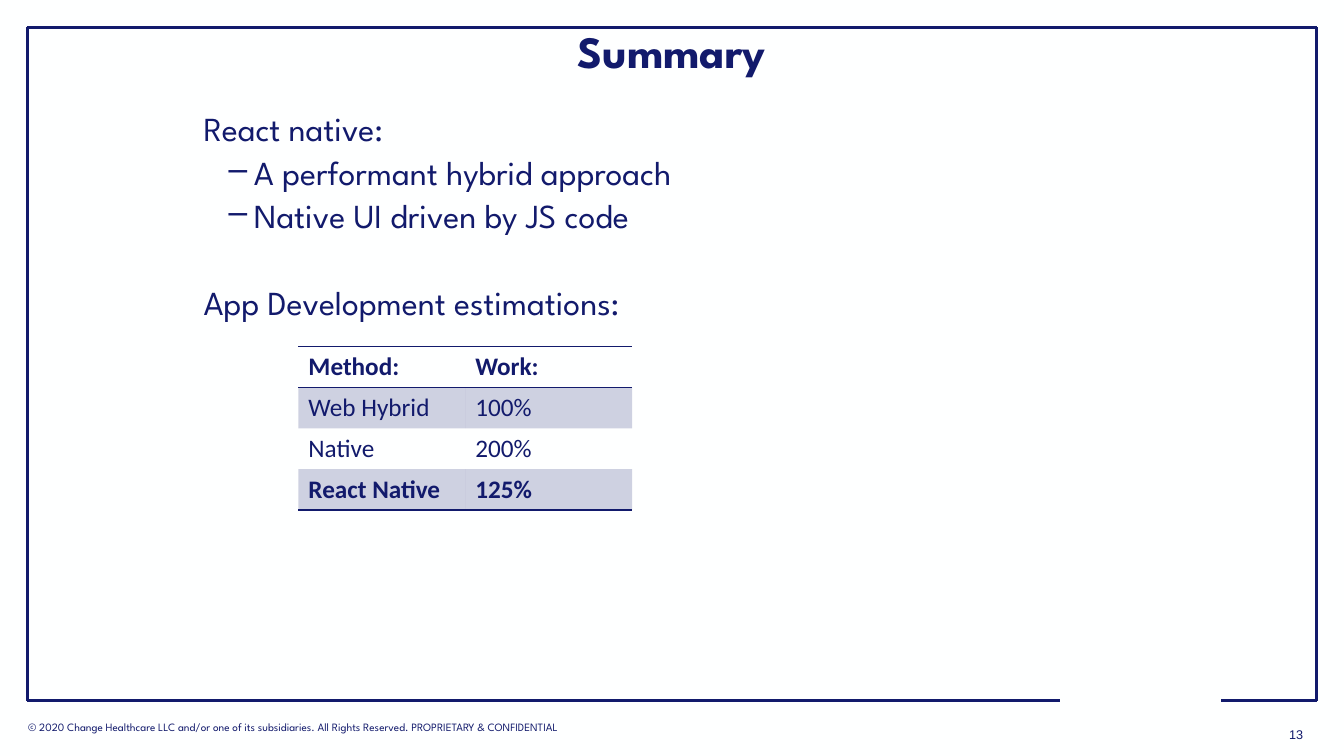
from lxml import etree
from pptx import Presentation
from pptx.dml.color import RGBColor
from pptx.enum.shapes import MSO_CONNECTOR
from pptx.enum.text import MSO_ANCHOR, PP_ALIGN
from pptx.oxml import parse_xml
from pptx.oxml.ns import nsdecls, qn
from pptx.util import Inches, Pt

STRAIGHT = MSO_CONNECTOR.STRAIGHT
TOP, MIDDLE = MSO_ANCHOR.TOP, MSO_ANCHOR.MIDDLE
LEFT, CENTER = PP_ALIGN.LEFT, PP_ALIGN.CENTER
COLORS = {"navy": "121A6C", "paper": "FEFFFF"}
NO_STYLE = "{2D5ABB26-0587-4C30-8999-92F81FD0307C}"
BRAND, TABLE_FONT, NUMBER_FONT = "League Spartan", "Calibri", "Arial"


class Deck:
    def __init__(self):
        self.prs = Presentation()
        self.prs.slide_width, self.prs.slide_height = Inches(13.33), Inches(7.5)
        self.s = self.prs.slides.add_slide(self.prs.slide_layouts[6])
        fill = self.s.background.fill
        fill.solid()
        fill.fore_color.rgb = RGBColor.from_string(COLORS["paper"])

    def x(self, percent):
        return round(self.prs.slide_width * percent / 100)

    def y(self, percent):
        return round(self.prs.slide_height * percent / 100)

    def box(self, left, top, width, height):
        return self.x(left), self.y(top), self.x(width), self.y(height)

    def style(self, font, **values):
        for name, value in values.items():
            setattr(font, name, value)
        font.color.rgb = RGBColor.from_string(COLORS["navy"])

    def line(self, x1, y1, x2, y2):
        c = self.s.shapes.add_connector(
            STRAIGHT, self.x(x1), self.y(y1), self.x(x2), self.y(y2))
        c.line.width = Pt(2)
        c.line.color.rgb = RGBColor.from_string(COLORS["navy"])
        etree.SubElement(c._element.spPr, qn("a:effectLst"))

    def text(self, area, paragraphs, font, size, bold=False, anchor=TOP, align=LEFT, spacing=None):
        tf = self.s.shapes.add_textbox(*self.box(*area)).text_frame
        tf.word_wrap, tf.vertical_anchor = True, anchor
        for i, (words, before, margin, bullet) in enumerate(paragraphs):
            p = tf.paragraphs[0] if i == 0 else tf.add_paragraph()
            if margin:
                pPr = p._p.get_or_add_pPr()
                pPr.set("marL", str(Inches(margin)))
                pPr.set("indent", str(Inches(-0.25 if bullet else 0)))
                if bullet:
                    etree.SubElement(pPr, qn("a:buChar")).set("char", bullet)
            p.alignment, p.line_spacing = align, spacing
            if before:
                p.space_before = Pt(before)
            r = p.add_run()
            r.text = words
            self.style(r.font, name=font, size=Pt(size), bold=bold)

    def border(self, cell, sides):
        for i, side in enumerate(sides):
            ln = parse_xml(
                f'<a:{side} {nsdecls("a")} w="{Pt(1)}"><a:solidFill>'
                f'<a:srgbClr val="{COLORS["navy"]}"/></a:solidFill></a:{side}>')
            cell._tc.get_or_add_tcPr().insert(i, ln)

    def shade(self, cell, alpha):
        cell.fill.solid()
        cell.fill.fore_color.rgb = RGBColor.from_string(COLORS["navy"])
        color = cell._tc.tcPr.find(".//" + qn("a:srgbClr"))
        etree.SubElement(color, qn("a:alpha")).set("val", str(alpha * 1000))

    def table(self, area, rows, bold_rows, borders):
        frame = self.s.shapes.add_table(len(rows), len(rows[0]), *self.box(*area))
        table = frame.table
        table.first_row = table.horz_banding = False
        table._tbl.tblPr.find(qn("a:tableStyleId")).text = NO_STYLE
        for i, row in enumerate(rows):
            for j, words in enumerate(row):
                cell = table.cell(i, j)
                if i % 2:
                    self.shade(cell, 20)
                else:
                    cell.fill.background()
                self.border(cell, borders.get(i, ()))
                r = cell.text_frame.paragraphs[0].add_run()
                r.text = words
                self.style(r.font, name=TABLE_FONT, size=Pt(18), bold=i in bold_rows)


def main():
    deck = Deck()
    left, right, top, bottom = 2.03, 97.97, 3.6, 92.67
    deck.text((1.35, 94.67, 48.84, 3.2), [(
        "© 2020 Change Healthcare LLC and/or one of its subsidiaries.\u00a0All Rights Reserved. "
        "PROPRIETARY & CONFIDENTIAL", 0, 0, None)], BRAND, 8)
    for ends in [(78.84, bottom, left, bottom), (right, top, left, top),
                 (right, top, right, bottom), (left, top, left, bottom),
                 (right, bottom, 90.85, bottom)]:
        deck.line(*ends)
    deck.text((94.9, 94.4, 3.08, 5.6), [("13", 0, 0, None)], NUMBER_FONT, 9,
              anchor=MIDDLE, align=CENTER)
    deck.text((0.38, 2.13, 99.25, 10.13), [("Summary", 0, 0, None)], BRAND, 32,
              bold=True, anchor=MIDDLE, align=CENTER, spacing=0.9)
    deck.text((12.53, 14.27, 74.94, 71.33), [
        ("React native:", 0, 0.25, None),
        ("A performant hybrid approach", 5, 0.75, "–"),
        ("Native UI driven by JS code", 5, 0.75, "–"),
        ("App Development estimations:", 36, 0.25, None),
    ], BRAND, 24, spacing=0.9)
    deck.table((22.2, 45.87, 24.83, 21.6), [
        ("Method:", "Work:"),
        ("Web Hybrid", "100%"),
        ("Native", "200%"),
        ("React Native", "125%"),
    ], bold_rows=(0, 3), borders={0: ("lnT", "lnB"), 3: ("lnB",)})
    deck.prs.save("out.pptx")


if __name__ == "__main__":
    main()
